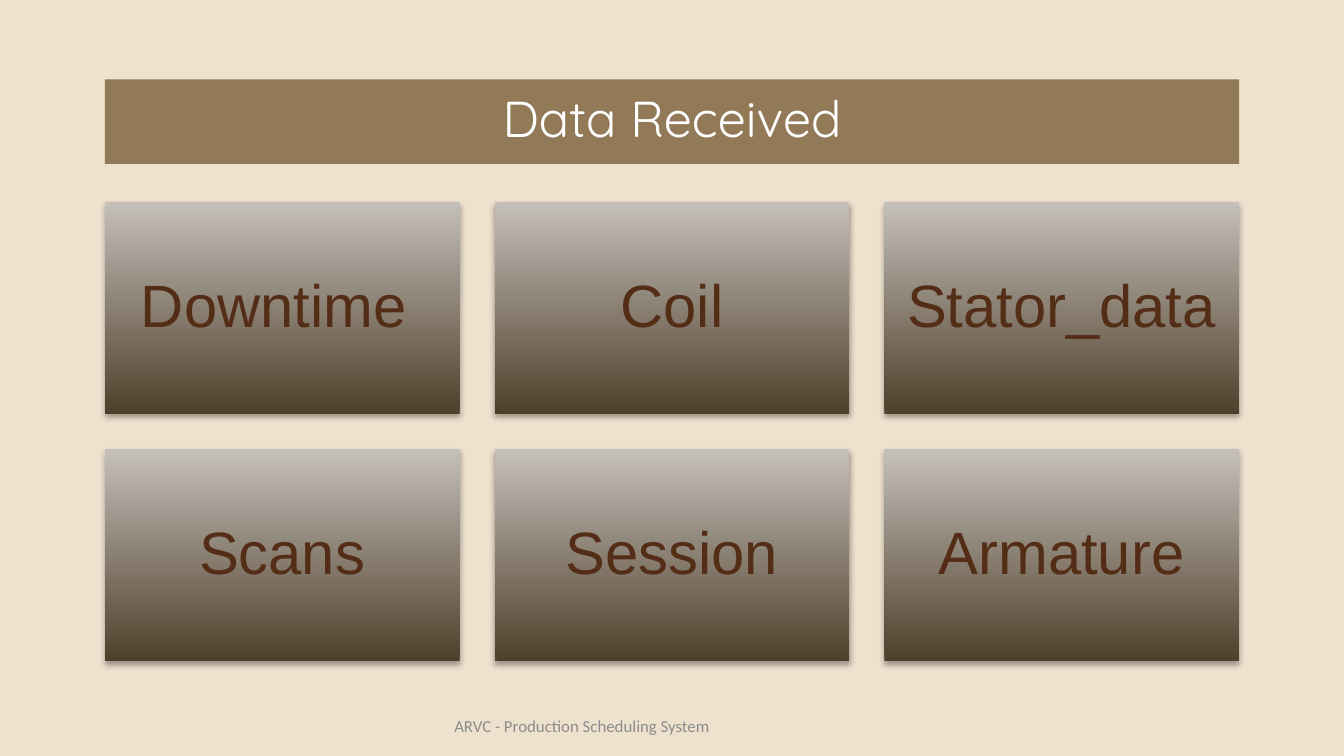
from lxml import etree
from pptx import Presentation, util as u
from pptx.dml.color import RGBColor
from pptx.enum import shapes, text
from pptx.oxml.ns import qn

TITLE = "Data Received"
TABLES = [["Downtime ", "Coil", "Stator_data"],
          ["Scans", "Session", "Armature"]]
FOOTER = "ARVC - Production Scheduling System"

W = 10
H = W * 9 / 16
LEFT, TOP = 0.78, 1.5
CARD_W, CARD_H, GAP = 2.64, 1.58, 0.26


def color(value):
    return RGBColor.from_string(value)


def write(sp, words, font, size, fill, inset, align=text.PP_ALIGN.CENTER, spacing=0.9):
    tf = sp.text_frame
    tf.word_wrap = True
    tf.vertical_anchor = text.MSO_ANCHOR.MIDDLE
    tf.margin_left = tf.margin_right = u.Inches(inset[0])
    tf.margin_top = tf.margin_bottom = u.Inches(inset[1])
    p = tf.paragraphs[0]
    p.text = words
    p.alignment = align
    p.line_spacing = spacing
    p.font.name, p.font.size = font, u.Pt(size)
    p.font.color.rgb = color(fill)


def rect(s, x, y, w, h):
    sp = s.shapes.add_shape(shapes.MSO_SHAPE.RECTANGLE, *map(u.Inches, (x, y, w, h)))
    sp.shadow.inherit = False
    sp.line.fill.background()
    return sp


def shade(sp):
    sp.fill.gradient()
    sp.fill.gradient_angle = 90
    for stop, value in zip(sp.fill.gradient_stops, ("4F402B", "C5C0BA")):
        stop.color.rgb = color(value)
    effects = sp._element.spPr.find(qn("a:effectLst"))
    shadow = etree.SubElement(effects, qn("a:outerShdw"), blurRad=str(u.Pt(3.1)),
                              dist=str(u.Pt(1.8)), dir="5400000", rotWithShape="0")
    black = etree.SubElement(shadow, qn("a:srgbClr"), val="000000")
    etree.SubElement(black, qn("a:alpha"), val="35000")


prs = Presentation()
prs.slide_width, prs.slide_height = u.Inches(W), u.Inches(H)
s = prs.slides.add_slide(prs.slide_layouts[6])
s.background.fill.solid()
s.background.fill.fore_color.rgb = color("EEE1CE")

banner = rect(s, LEFT, 0.59, W - 2 * LEFT, 0.63)
banner.fill.solid()
banner.fill.fore_color.rgb = color("927A59")
write(banner, TITLE, "Quicksand", 27, "FFFFFF", (0.1, 0.1))

for row, names in enumerate(TABLES):
    for col, name in enumerate(names):
        card = rect(s, LEFT + col * (CARD_W + GAP), TOP + row * (CARD_H + GAP), CARD_W, CARD_H)
        shade(card)
        write(card, name, "Arial", 32, "542D16", (0.13, 0.13))

footer = s.shapes.add_textbox(*map(u.Inches, (3.31, 5.25, 3.38, 0.3)))
write(footer, FOOTER, "Calibri", 9, "8C8C8C", (0.07, 0.04), text.PP_ALIGN.LEFT, 1.0)

prs.save("out.pptx")
